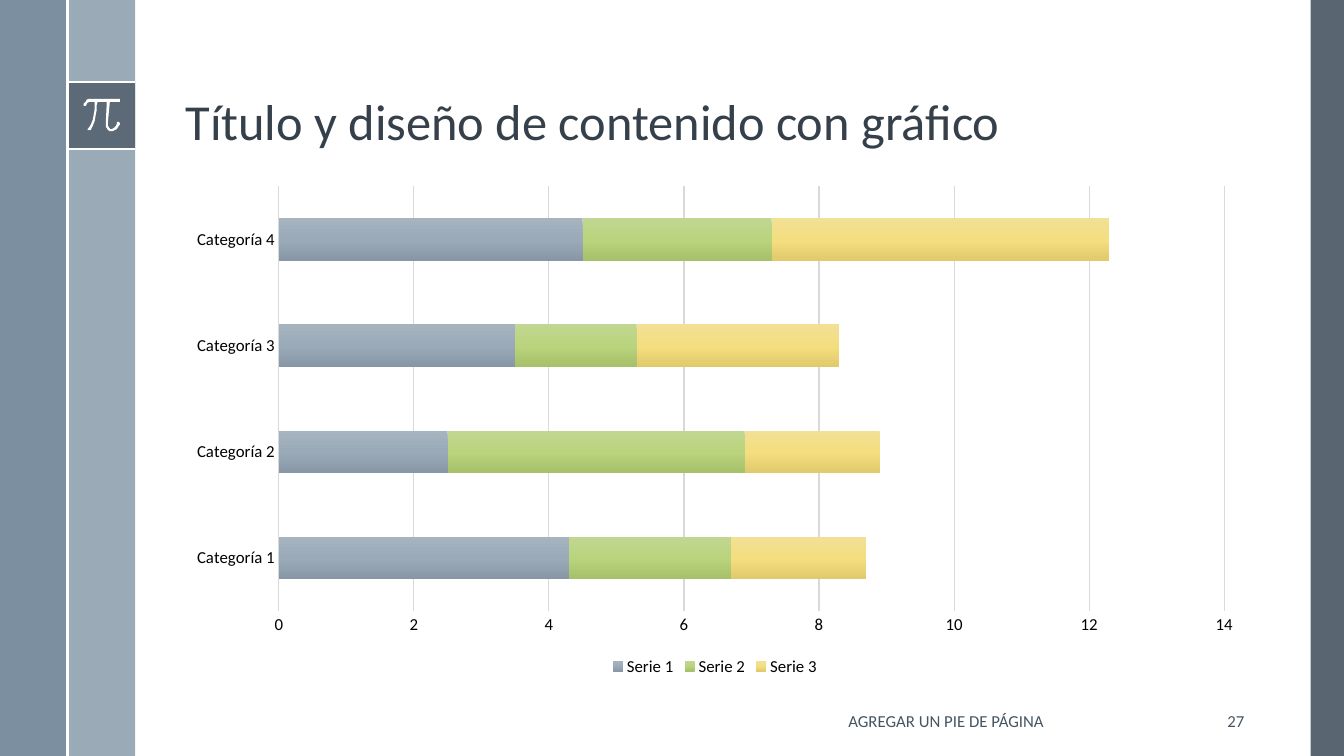
import copy
import lxml.etree
import pptx
import pptx.chart.data
import pptx.dml.color
import pptx.enum.chart
import pptx.enum.shapes
import pptx.enum.text
import pptx.oxml.ns
import pptx.util
from pptx.util import Inches

FONT = "Calibri"
COLORS = {
    "white": "FFFFFF",
    "slate": "475562",
    "steel": "6A8093",
    "mist": "9BAAB7",
    "title": "35404A",
    "footer": "465562",
    "axis_text": "000000",
    "grid": "D9D9D9",
    "Serie 1": ("A6B4BF", "9AAAB8", "8797A6"),
    "Serie 2": ("C0D691", "BAD47E", "A7C16B"),
    "Serie 3": ("F2E095", "F4DE80", "E0CA6B"),
}
CATEGORIES = ["Categoría 1", "Categoría 2", "Categoría 3", "Categoría 4"]
SERIES = {
    "Serie 1": (4.3, 2.5, 3.5, 4.5),
    "Serie 2": (2.4, 4.4, 1.8, 2.8),
    "Serie 3": (2, 2, 3, 5),
}
PI_START = (35, 0)
PI_SEGMENTS = [
    [(7, 0)], [(2, 0), (0, 5), (0, 6)], [(0, 6), (0, 7), (1, 7)], [(2, 7)],
    [(2, 7), (4, 3), (7, 3)], [(11, 3)], [(11, 7), (10, 24), (5, 29)],
    [(4, 30), (4, 31), (5, 31)], [(7, 31)], [(12, 25), (13, 7), (14, 3)],
    [(23, 3)], [(22, 24)], [(22, 24), (21, 28), (24, 31)],
    [(25, 32), (26, 32), (27, 32)], [(29, 32)], [(34, 32), (36, 25), (36, 24)],
    [(36, 24), (35, 23), (35, 23)], [(34, 23), (33, 23), (33, 24)],
    [(33, 24), (32, 29), (28, 30)], [(27, 30), (26, 30), (25, 29)],
    [(24, 28), (24, 25), (24, 24)], [(26, 3)], [(35, 3)],
    [(36, 3), (36, 2), (36, 2)], [(36, 1), (36, 0), (35, 0)],
]


def rgb(color):
    return pptx.dml.color.RGBColor.from_string(color)


def style_font(font, size, color):
    font.name = FONT
    font.size = pptx.util.Pt(size)
    font.color.rgb = rgb(color)


def paint(shape, color, opacity=100):
    shape.shadow.inherit = False
    shape.line.fill.background()
    shape.fill.solid()
    shape.fill.fore_color.rgb = rgb(color)
    if opacity < 100:
        solid = shape._element.spPr.find(pptx.oxml.ns.qn("a:solidFill"))
        lxml.etree.SubElement(
            solid[0], pptx.oxml.ns.qn("a:alpha"), val=str(opacity * 1000))


def add_band(slide, box, color, opacity=100):
    band = slide.shapes.add_shape(
        pptx.enum.shapes.MSO_SHAPE.RECTANGLE, *map(Inches, box))
    paint(band, color, opacity)


def add_rule(slide, start, end):
    rule = slide.shapes.add_connector(
        pptx.enum.shapes.MSO_CONNECTOR.STRAIGHT, *map(Inches, start + end))
    rule.line.color.rgb = rgb(COLORS["white"])
    rule.line.width = pptx.util.Pt(1.5)
    lxml.etree.SubElement(
        rule._element.spPr, pptx.oxml.ns.qn("a:effectLst"))


def pi_outline(steps=6):
    points = [PI_START]
    for segment in PI_SEGMENTS:
        if len(segment) == 1:
            points += segment
            continue
        curve = [points[-1]] + segment
        for step in range(1, steps + 1):
            t = step / steps
            weights = ((1 - t) ** 3, 3 * t * (1 - t) ** 2,
                       3 * t * t * (1 - t), t ** 3)
            points.append(tuple(
                sum(w * p[axis] for w, p in zip(weights, curve))
                for axis in (0, 1)))
    return points


def add_pi(slide, left, top):
    outline = pi_outline()
    builder = slide.shapes.build_freeform(
        *outline[0], scale=Inches(0.01))
    builder.add_line_segments(outline[1:], close=True)
    pi = builder.convert_to_shape(Inches(left), Inches(top))
    paint(pi, COLORS["white"])


def add_side_bands(slide, box):
    left, top, width, height = box
    strip = 0.67
    inner = left + strip
    badge_top = top + 0.81
    add_band(slide, (left + width - 0.33, top, 0.33, height),
             COLORS["slate"], 90)
    add_band(slide, (inner, top, strip, height), COLORS["mist"])
    add_band(slide, (left, top, strip, height), COLORS["steel"], 88)
    add_band(slide, (inner, badge_top, strip, strip), COLORS["slate"], 75)
    for y in (badge_top, badge_top + strip):
        add_rule(slide, (inner, y), (inner + strip, y))
    add_pi(slide, inner + 0.16, badge_top + 0.17)
    add_rule(slide, (inner, top), (inner, top + height))


def place(shape, box):
    shape.left, shape.top, shape.width, shape.height = map(Inches, box)


def add_title(slide, box):
    title = slide.shapes.title
    place(title, box)
    frame = title.text_frame
    frame.text = "Título y diseño de contenido con gráfico"
    frame.word_wrap = True
    frame.vertical_anchor = pptx.enum.text.MSO_ANCHOR.BOTTOM
    heading = frame.paragraphs[0]
    heading.alignment = pptx.enum.text.PP_ALIGN.LEFT
    heading.line_spacing = 0.9
    style_font(heading.font, 36, COLORS["title"])


def fill_gradient(series, colors):
    fill = series.format.fill
    fill.gradient()
    fill.gradient_angle = 270
    stop_list = next(series._element.iter(pptx.oxml.ns.qn("a:gsLst")))
    stop_list.insert(1, copy.deepcopy(stop_list[0]))
    for stop, position, color in zip(fill.gradient_stops, (0, 0.5, 1), colors):
        stop.position = position
        stop.color.rgb = rgb(color)


def add_series_chart(slide, box):
    data = pptx.chart.data.CategoryChartData()
    data.categories = CATEGORIES
    for name, values in SERIES.items():
        data.add_series(name, values)
    chart = slide.shapes.add_chart(
        pptx.enum.chart.XL_CHART_TYPE.BAR_STACKED,
        *map(Inches, box), data).chart
    style_font(chart.font, 10, COLORS["footer"])
    chart.has_title = False
    chart.has_legend = True
    chart.legend.position = pptx.enum.chart.XL_LEGEND_POSITION.BOTTOM
    chart.legend.include_in_layout = False
    style_font(chart.legend.font, 12, COLORS["axis_text"])

    bars = chart.plots[0]
    bars.gap_width = 150
    bars.overlap = 100
    bars.vary_by_categories = False
    for series in bars.series:
        fill_gradient(series, COLORS[series.name])

    categories, values = chart.category_axis, chart.value_axis
    for axis in (categories, values):
        axis.major_tick_mark = pptx.enum.chart.XL_TICK_MARK.NONE
        axis.minor_tick_mark = pptx.enum.chart.XL_TICK_MARK.NONE
        style_font(axis.tick_labels.font, 12, COLORS["axis_text"])
    values.minimum_scale = 0
    values.maximum_scale = 14
    values.major_unit = 2
    values.has_major_gridlines = True
    values.format.line.fill.background()
    for line in (categories.format.line, values.major_gridlines.format.line):
        line.color.rgb = rgb(COLORS["grid"])
        line.width = pptx.util.Pt(0.75)


def add_footer_text(slide, box, text, alignment):
    footer = slide.shapes.add_textbox(*map(Inches, box))
    frame = footer.text_frame
    frame.word_wrap = True
    frame.vertical_anchor = pptx.enum.text.MSO_ANCHOR.MIDDLE
    frame.text = text
    frame.paragraphs[0].alignment = alignment
    style_font(frame.paragraphs[0].font, 12, COLORS["footer"])


def main():
    deck = pptx.Presentation()
    deck.slide_width, deck.slide_height = Inches(13.33), Inches(7.5)
    slide = deck.slides.add_slide(deck.slide_layouts[5])
    add_side_bands(slide, (0, 0, 13.33, 7.5))
    add_title(slide, (1.74, 0.19, 10.7, 1.36))
    add_series_chart(slide, (1.74, 1.75, 10.7, 5))
    align = pptx.enum.text.PP_ALIGN
    add_footer_text(slide, (7.21, 6.95, 4.35, 0.4),
                    "AGREGAR UN PIE DE PÁGINA", align.CENTER)
    add_footer_text(slide, (11.77, 6.95, 0.67, 0.4), "27", align.RIGHT)
    deck.save("out.pptx")


if __name__ == "__main__":
    main()
